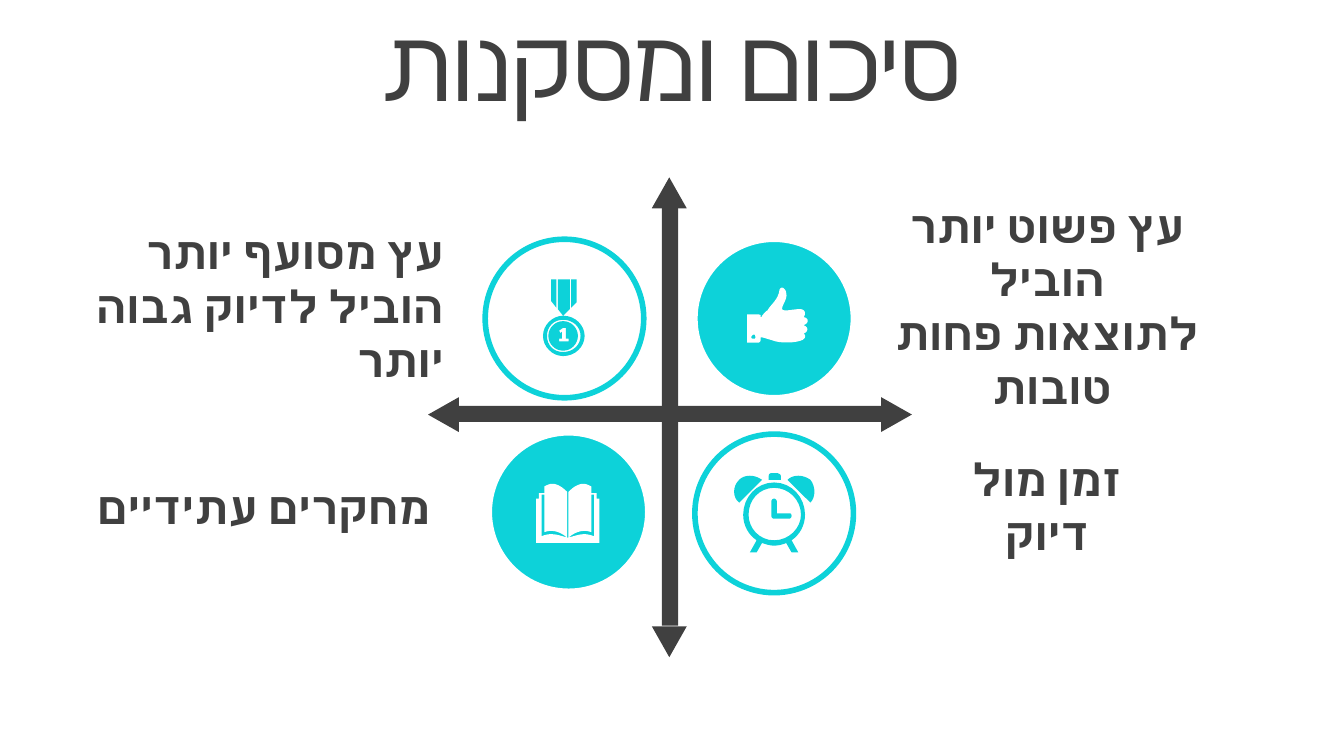
from pptx import Presentation
from pptx.dml.color import RGBColor
from pptx.enum.shapes import MSO_SHAPE
from pptx.enum.text import MSO_ANCHOR, MSO_AUTO_SIZE, PP_ALIGN
from pptx.oxml.ns import qn
from pptx.util import Emu, Pt
from lxml import etree

OVAL, BAR, HEAD = MSO_SHAPE.OVAL, MSO_SHAPE.RECTANGLE, MSO_SHAPE.ISOSCELES_TRIANGLE
MID, CENTER, RIGHT = MSO_ANCHOR.MIDDLE, PP_ALIGN.CENTER, PP_ALIGN.RIGHT
FIXED = MSO_AUTO_SIZE.NONE

PX = 9144
WIDE, HIGH = 1000, 562.5
FONT = "Calibri"
COLORS = {"dark": "404040", "cyan": "0DD2D9", "white": "FFFFFF"}

TITLE = "סיכום ומסקנות"
NOTES = [
    ((635, 182, 288, 91), CENTER, ["עץ פשוט יותר הוביל", "לתוצאות פחות טובות "]),
    ((52, 182, 288, 91), RIGHT, ["עץ מסועף יותר הוביל לדיוק גבוה יותר"]),
    ((685, 351, 188, 50), CENTER, ["זמן מול דיוק"]),
    ((40, 352, 290, 50), RIGHT, ["מחקרים עתידיים"]),
]
DISCS = [
    (364, 322, "cyan", "white"),
    (517, 178, "cyan", "white"),
    (517, 323, None, "cyan"),
    (361, 178, "white", "cyan"),
]
DISC = 118
BARS = [0, 90]
HEADS = [(485, 132, 0), (654, 297, 90), (485, 466, 180), (317, 297, 270)]

BOOK = """M 23 40 L 24 40 C 32 38 35 36 43 39 L 43 8 L 41 8 L 41 36 C 36 34 30 35 24 40
L 24 6 C 27 3 31 0 35 0 C 37 0 39 1 41 2 L 41 7 L 45 7 L 45 11 L 47 11 L 47 44 L 0 44
L 0 11 L 2 11 L 2 7 L 6 7 L 6 2 C 8 1 10 0 12 0 C 16 0 20 3 23 6 L 23 40
C 17 35 11 34 6 36 L 6 8 L 4 8 L 4 39 C 11 36 16 38 23 40"""
CLOCK = """M 30 19 C 31 19 32 20 32 21 L 32 30 L 41 30 C 42 30 43 30 43 32
C 43 33 42 34 41 34 L 30 34 C 29 34 28 33 28 32 L 28 21 C 28 20 29 19 30 19
M 30 11 C 19 11 11 20 11 31 C 11 41 19 50 30 50 C 41 50 50 41 50 31 C 50 20 41 11 30 11
M 30 7 C 43 7 53 18 53 31 C 53 39 49 46 43 50 L 48 59 L 43 59 L 39 52
C 37 53 33 54 30 54 C 27 54 24 53 21 52 L 17 59 L 12 59 L 17 50
C 11 46 7 39 7 31 C 7 18 17 7 30 7
M 12 2 C 15 2 18 3 21 5 L 4 22 C -1 18 -1 10 4 5 C 6 3 9 2 12 2
M 48 2 C 51 2 54 3 57 5 C 61 10 61 18 57 22 L 40 5 C 42 3 45 2 48 2
M 28 0 L 32 0 C 33 0 35 1 35 2 L 35 5 L 26 5 L 26 2 C 26 1 27 0 28 0"""
MEDAL = """M 17 36 L 15 36 L 12 38 L 13 40 L 14 39 L 14 44 L 12 44 L 12 46 L 19 46 L 19 44 L 17 44
M 15 31 C 21 31 26 36 26 42 C 26 48 21 53 15 53 C 9 53 4 48 4 42 C 4 36 9 31 15 31
M 15 30 C 8 30 3 35 3 42 C 3 49 8 54 15 54 C 22 54 28 49 28 42 C 28 35 22 30 15 30
M 15 27 C 24 27 31 34 31 42 C 31 50 24 57 15 57 C 7 57 0 50 0 42 C 0 34 7 27 15 27
M 21 0 L 25 0 L 25 17 L 21 21 M 11 0 L 20 0 L 20 22 L 15 27 L 11 22
M 6 0 L 10 0 L 10 21 L 6 16"""
THUMB = """M 5 35 C 4 35 3 36 3 37 C 3 38 4 38 5 38 C 6 38 6 38 6 37 C 6 36 6 35 5 35
M 26 0 C 27 0 29 2 29 4 C 31 9 22 17 28 17 C 32 17 35 16 39 16 C 43 16 44 19 42 22
C 45 22 47 26 42 28 C 47 30 44 34 42 34 C 44 36 43 38 41 39 C 37 41 25 42 18 39
C 14 38 12 37 10 37 L 10 39 C 10 40 9 41 8 41 L 0 41 L 0 20 L 8 20 C 9 20 10 20 10 21
L 10 22 C 10 22 11 22 11 21 C 12 20 13 18 15 17 C 18 12 23 9 24 2 C 24 1 25 0 26 0"""
ICONS = [
    (399, 360, "white", BOOK),
    (546, 352, "cyan", CLOCK),
    (404, 208, "cyan", MEDAL),
    (556, 214, "white", THUMB),
]
STEPS = 8


def box(*sides):
    return [Emu(int(side * PX)) for side in sides]


def tint(name):
    return RGBColor.from_string(COLORS[name])


def paint(shape, fill, line=None):
    shape.shadow.inherit = False
    if fill:
        shape.fill.solid()
        shape.fill.fore_color.rgb = tint(fill)
    else:
        shape.fill.background()
    if line:
        shape.line.color.rgb = tint(line)
        shape.line.width = Pt(3)
    else:
        shape.line.fill.background()


def write(frame, lines, size, align, bold):
    frame.word_wrap = True
    frame.auto_size = FIXED
    frame.vertical_anchor = MID
    for i, line in enumerate(lines):
        para = frame.add_paragraph() if i else frame.paragraphs[0]
        para.alignment = align
        para._p.get_or_add_pPr().set("rtl", "1")
        run = para.add_run()
        run.text = line
        font = run.font
        font.name, font.size, font.bold = FONT, Pt(size), bold
        font.color.rgb = tint("dark")
        look = run._r.rPr
        look.set("kern", "0")
        etree.SubElement(look, qn("a:cs")).set("typeface", FONT)


def curve(a, b, c, d):
    for i in range(1, STEPS + 1):
        t = i / STEPS
        u = 1 - t
        yield tuple(u**3 * p + 3 * u * u * t * q + 3 * u * t * t * r + t**3 * s
                    for p, q, r, s in zip(a, b, c, d))


def trace(text, left, top):
    loops, words = [], iter(text.split())
    for mark in words:
        count = 3 if mark == "C" else 1
        dots = [((left + int(next(words))) * PX, (top + int(next(words))) * PX)
                for _ in range(count)]
        if mark == "M":
            loops.append(dots)
        elif mark == "L":
            loops[-1] += dots
        else:
            loops[-1] += curve(loops[-1][-1], *dots)
    return loops


def draw(shapes, left, top, fill, text):
    first, *rest = trace(text, left, top)
    pen = shapes.build_freeform(*first[0])
    pen.add_line_segments(first[1:])
    for loop in rest:
        pen.move_to(*loop[0])
        pen.add_line_segments(loop[1:])
    paint(pen.convert_to_shape(), fill)


def main():
    deck = Presentation()
    deck.slide_width, deck.slide_height = box(WIDE, HIGH)
    slide = deck.slides.add_slide(deck.slide_layouts[5])
    shapes = slide.shapes
    title = shapes.title
    title.left, title.top, title.width, title.height = box(0, 14, WIDE, 63)
    write(title.text_frame, [TITLE], 54, CENTER, False)
    for left, top, fill, line in DISCS:
        paint(shapes.add_shape(OVAL, *box(left, top, DISC, DISC)), fill, line)
    for place, align, lines in NOTES:
        write(shapes.add_textbox(*box(*place)).text_frame, lines, 24, align, True)
    for turn in BARS:
        bar = shapes.add_shape(BAR, *box(341, 302, 315, 12))
        bar.rotation = turn
        paint(bar, "dark")
    for left, top, turn in HEADS:
        head = shapes.add_shape(HEAD, *box(left, top, 26, 23))
        head.rotation = turn
        paint(head, "dark")
    for icon in ICONS:
        draw(shapes, *icon)
    deck.save("out.pptx")


if __name__ == "__main__":
    main()
